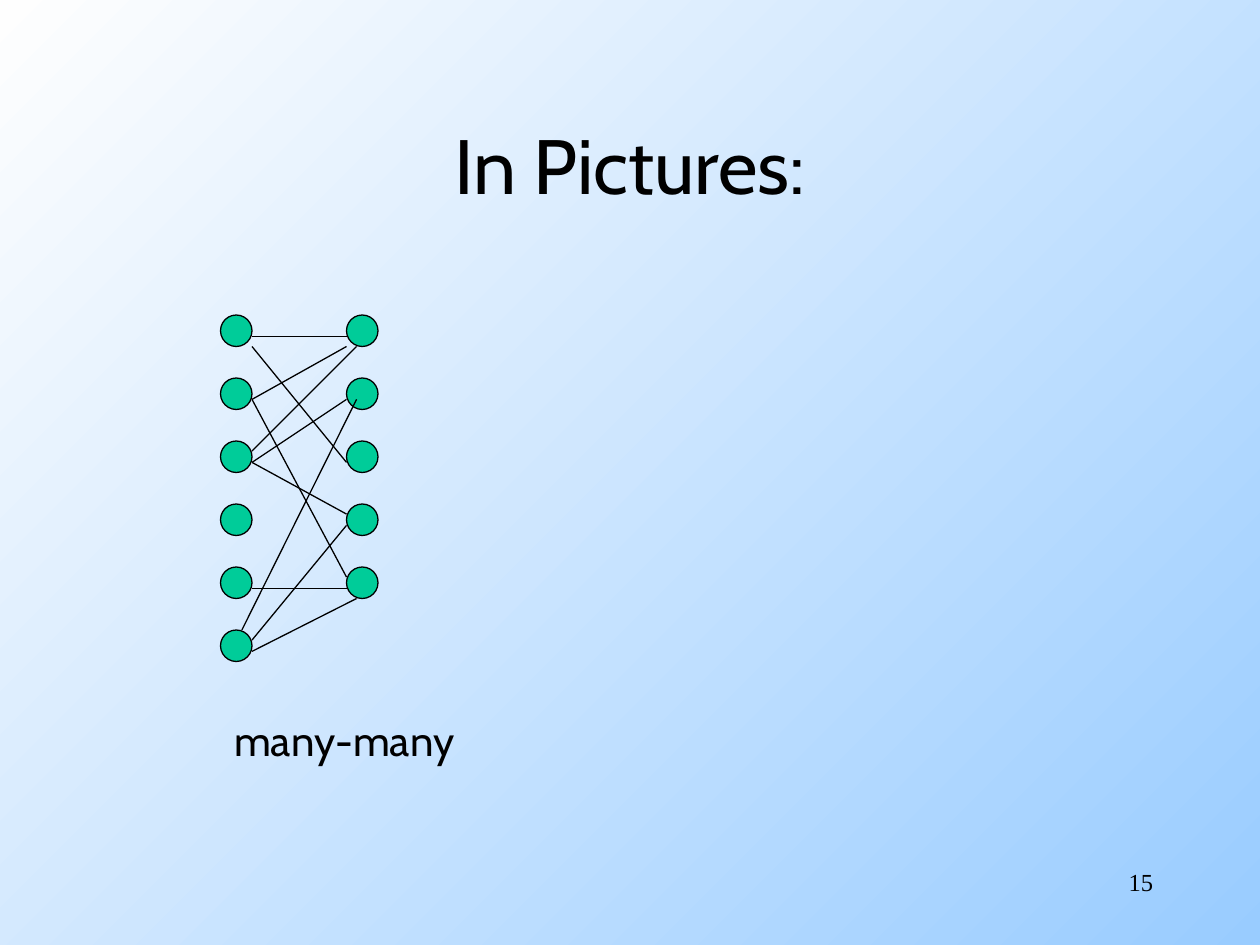
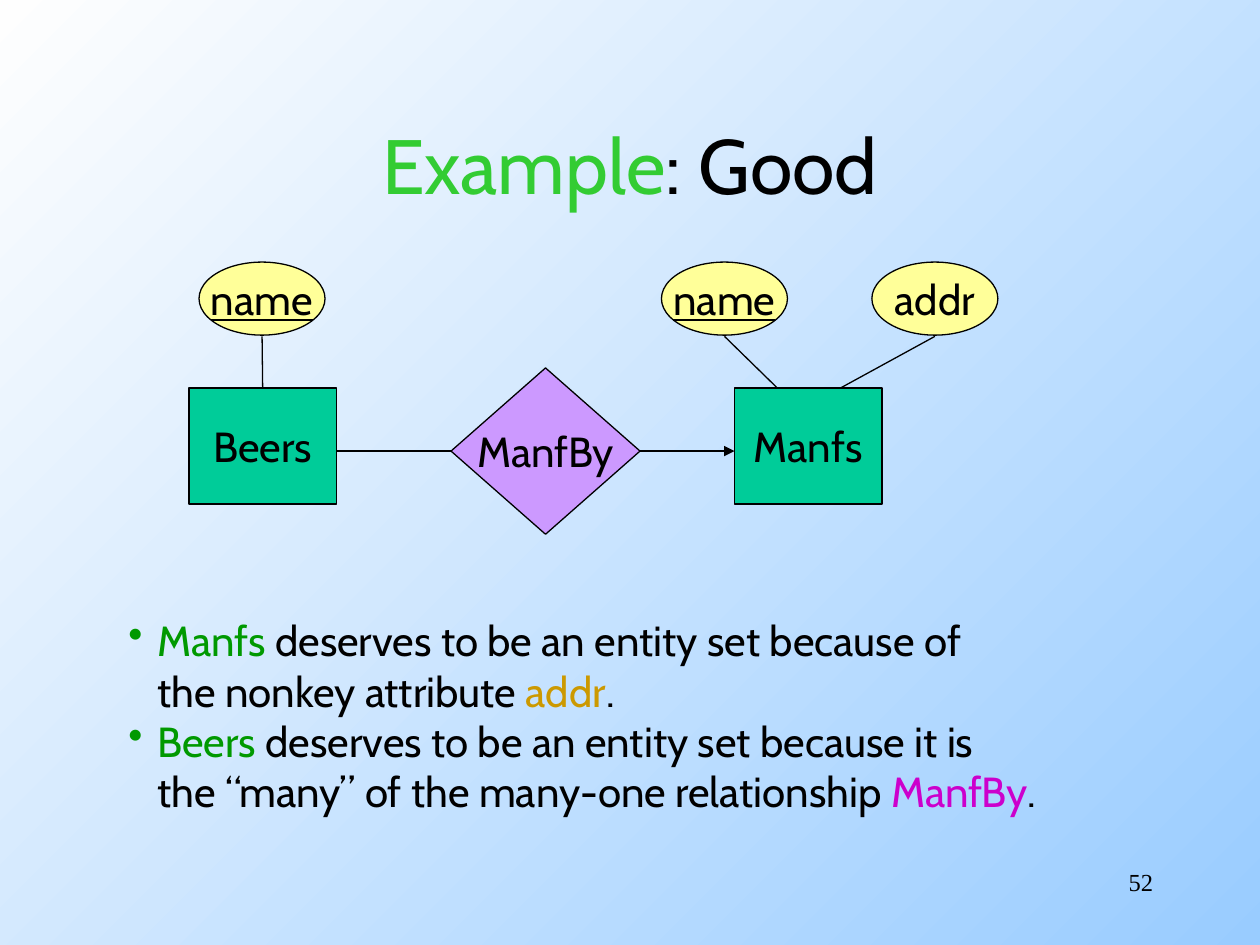
import pptx
import pptx.util
import pptx.dml.color
import pptx.enum.shapes
import pptx.enum.text
import pptx.oxml
import pptx.oxml.ns
from lxml import etree

Inches = pptx.util.Inches
Kind = pptx.enum.shapes.MSO_SHAPE
Align = pptx.enum.text.PP_ALIGN
Anchor = pptx.enum.text.MSO_ANCHOR

HUES = {
    "black": "000000", "sky": "99CCFF", "white": "FEFEFE",
    "teal": "00CC99", "violet": "CC99FF", "yellow": "FFFF99",
    "lime": "33CC33", "green": "009900", "gold": "CC9900", "pink": "CC00CC",
}
FACE = "Cabin"
EDGES = [
    (2, 2.75, 2.75, 3.67), (2, 2.67, 2.75, 2.67), (2, 3.17, 2.75, 2.75),
    (2, 3.58, 2.83, 2.75), (2, 3.17, 2.75, 4.58), (2, 4.67, 2.75, 4.67),
    (2, 5.17, 2.83, 4.75), (2, 3.67, 2.75, 3.17), (1.92, 5, 2.83, 3.17),
    (2, 5.08, 2.75, 4.17), (2.75, 4.08, 2, 3.67),
]
POINTS = [
    [("Manfs", "green"), (" deserves to be an entity set because of", "black"),
     None, ("the nonkey attribute ", "black"), ("addr", "gold"), (".", "black")],
    [("Beers", "green"), (" deserves to be an entity set because it is", "black"),
     None, ("the “many” of the many-one relationship ", "black"),
     ("ManfBy", "pink"), (".", "black")],
]


def hue(name):
    return pptx.dml.color.RGBColor.from_string(HUES[name])


def set_font(para, size, face=FACE):
    para.font.size = pptx.util.Pt(size)
    para.font.name = face
    para.font.color.rgb = hue("black")


def add_runs(para, parts):
    for part in parts:
        if part is None:
            para.add_line_break()
            continue
        run = para.add_run()
        run.text, tint = part
        if tint != "black":
            run.font.color.rgb = hue(tint)


def add_text(slide, box, parts, size, align=Align.LEFT, face=FACE):
    frame = slide.shapes.add_textbox(*map(Inches, box)).text_frame
    frame.word_wrap = True
    para = frame.paragraphs[0]
    para.alignment = align
    set_font(para, size, face)
    add_runs(para, parts)
    return frame


def add_bullet(para, tint):
    props = para._p.get_or_add_pPr()
    props.set("marL", str(Inches(0.23)))
    props.set("indent", str(-Inches(0.23)))
    tag = pptx.oxml.ns.qn
    color = etree.SubElement(props, tag("a:buClr"))
    etree.SubElement(color, tag("a:srgbClr"), val=HUES[tint])
    etree.SubElement(props, tag("a:buChar"), char="•")


def add_list(slide, box, items):
    frame = slide.shapes.add_textbox(*map(Inches, box)).text_frame
    frame.word_wrap = True
    for spot, parts in enumerate(items):
        para = frame.add_paragraph() if spot else frame.paragraphs[0]
        add_bullet(para, "green")
        set_font(para, 24)
        add_runs(para, parts)


def add_node(slide, kind, box, tint, label="", key=False):
    node = slide.shapes.add_shape(kind, *map(Inches, box))
    node.shadow.inherit = False
    node.fill.solid()
    node.fill.fore_color.rgb = hue(tint)
    node.line.color.rgb = hue("black")
    node.line.width = pptx.util.Pt(0.75)
    if label:
        frame = node.text_frame
        frame.word_wrap = False
        frame.vertical_anchor = Anchor.MIDDLE
        para = frame.paragraphs[0]
        para.text = label
        para.alignment = Align.CENTER
        set_font(para, 24)
        if key:
            para.font.underline = True
    return node


def add_line(slide, ends, arrow=False):
    line = slide.shapes.add_connector(
        pptx.enum.shapes.MSO_CONNECTOR.STRAIGHT, *map(Inches, ends))
    line.line.color.rgb = hue("black")
    line.line.width = pptx.util.Pt(0.75)
    tag = pptx.oxml.ns.qn
    if arrow:
        etree.SubElement(line.line._get_or_add_ln(), tag("a:tailEnd"),
                         type="triangle")
    etree.SubElement(line._element.spPr, tag("a:effectLst"))
    return line


def add_slide(deck, title, number):
    slide = deck.slides.add_slide(deck.slide_layouts[6])
    fill = slide.background.fill
    fill.gradient()
    fill.gradient_angle = 135
    for stop, name in zip(fill.gradient_stops, ("sky", "white")):
        stop.color.rgb = hue(name)
    frame = add_text(slide, (0.75, 0.67, 8.5, 1.25), title, 44, Align.CENTER)
    frame.vertical_anchor = Anchor.MIDDLE
    add_text(slide, (7.17, 6.83, 2.08, 0.5), [(number, "black")], 14,
             Align.RIGHT, "Times New Roman")
    return slide


def draw_graph(deck):
    slide = add_slide(deck, [("In Pictures:", "black")], "15")
    for left, count in ((1.75, 6), (2.75, 5)):
        for row in range(count):
            add_node(slide, Kind.OVAL, (left, 2.5 + row * 0.5, 0.25, 0.25), "teal")
    for ends in EDGES:
        add_line(slide, ends)
    add_text(slide, (1.76, 5.62, 2.05, 0.5), [("many-many", "black")], 24)


def draw_model(deck):
    slide = add_slide(deck, [("Example", "lime"), (": Good", "black")], "52")
    beers, manfs = [
        add_node(slide, Kind.RECTANGLE, (left, 3.08, 1.17, 0.92), "teal", label)
        for left, label in ((1.5, "Beers"), (5.83, "Manfs"))]
    made = add_node(slide, Kind.DIAMOND, (3.58, 2.92, 1.5, 1.32), "violet", "ManfBy")
    for left, label, key in ((1.58, "name", True), (5.25, "name", True),
                             (6.92, "addr", False)):
        add_node(slide, Kind.OVAL, (left, 2.08, 1, 0.58), "yellow", label, key)
    add_line(slide, (3.58, 3.58, 2.67, 3.58)).begin_connect(made, 1)
    add_line(slide, (5.08, 3.58, 5.83, 3.58), True).begin_connect(made, 3)
    add_line(slide, (2.08, 2.67, 2.08, 3.08)).end_connect(beers, 0)
    add_line(slide, (5.75, 2.67, 6.17, 3.08))
    add_line(slide, (7.42, 2.67, 6.67, 3.08))
    add_list(slide, (0.92, 4.83, 7.52, 2.1), POINTS)


def main():
    deck = pptx.Presentation()
    deck.slide_width = Inches(10)
    deck.slide_height = Inches(7.5)
    draw_graph(deck)
    draw_model(deck)
    deck.save("out.pptx")


if __name__ == "__main__":
    main()
